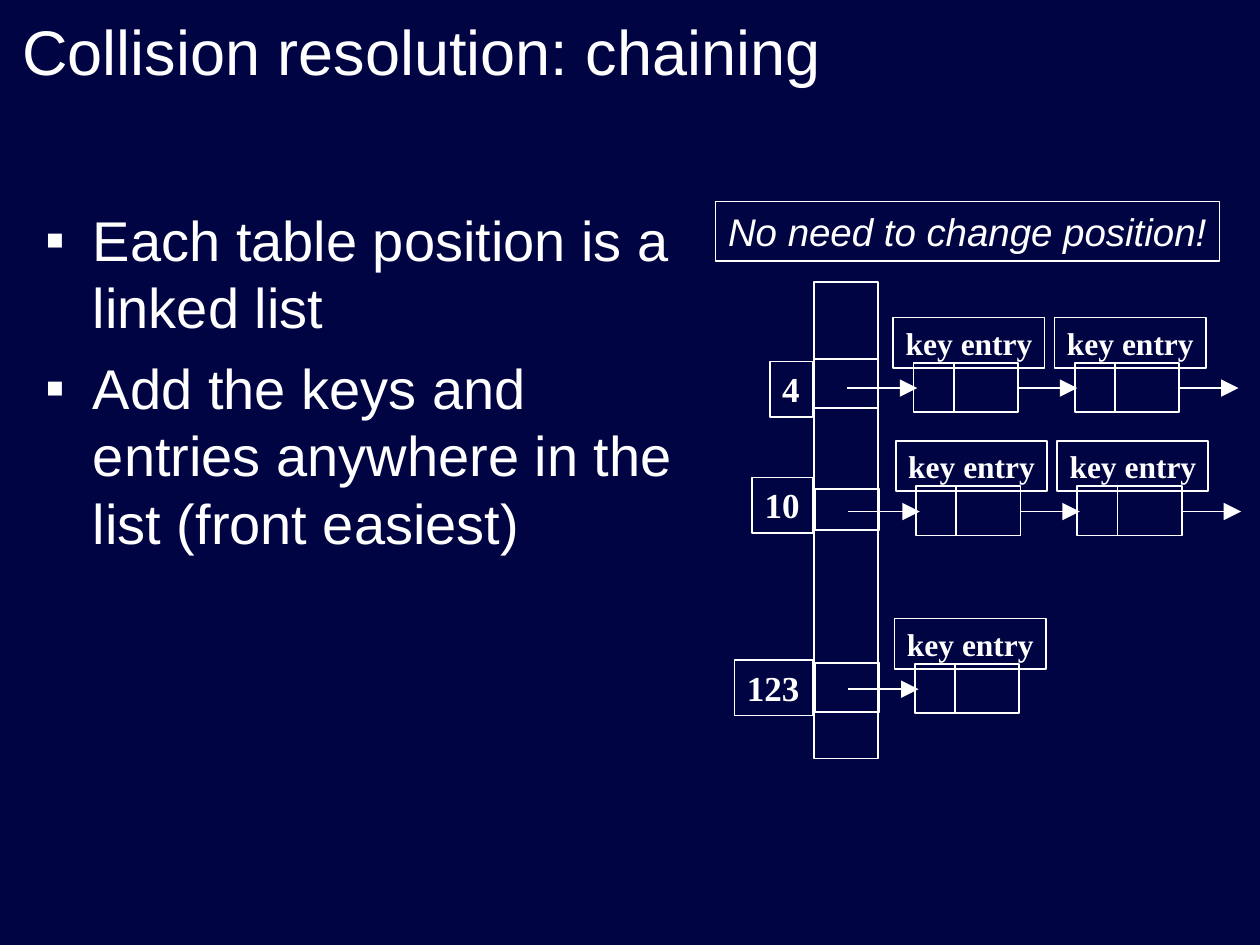
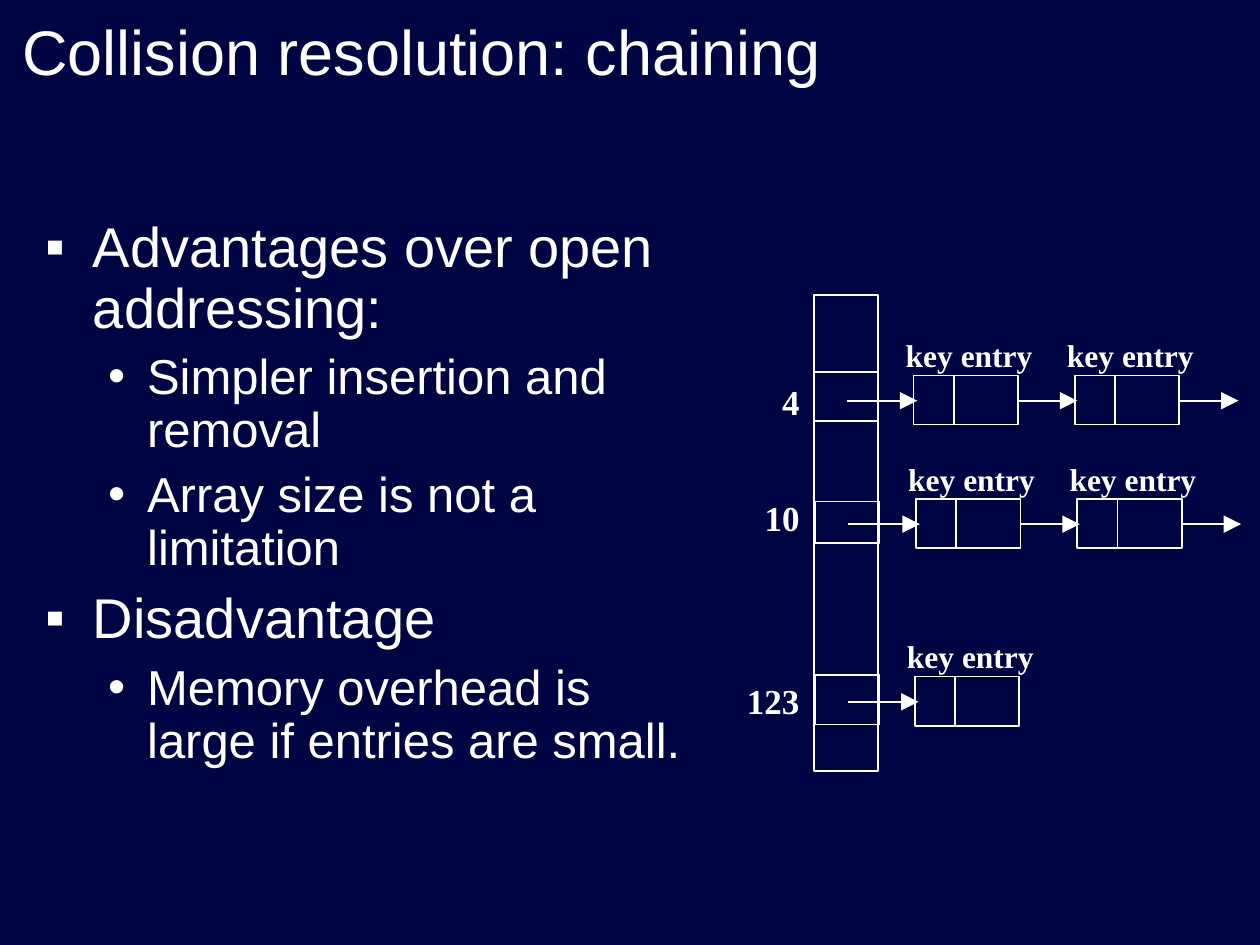
from lxml.etree import SubElement
from pptx import Presentation
from pptx.dml.color import RGBColor
from pptx.enum.shapes import MSO_CONNECTOR, MSO_SHAPE
from pptx.enum.text import MSO_ANCHOR, MSO_AUTO_SIZE
from pptx.oxml.ns import qn
from pptx.util import Inches, Pt

NAVY = RGBColor(0x01, 0x04, 0x42)
WHITE = RGBColor(0xFF, 0xFF, 0xFF)
SANS, SERIF = "Arial", "Times New Roman"
COLUMNS, ROWS = 10, 7.5

# Bullet levels: mark, text indent, hanging indent, space before, size
LEVELS = [("▪", 0.38, 0.38, 8, 32), ("•", 0.81, 0.31, 7, 28)]

# Hash table geometry, in grid columns and rows
TABLE_LEFT, TABLE_WIDTH, TABLE_HEIGHT = 6.46, 0.51, 3.78
NODE_WIDTH, NODE_HEIGHT, NODE_PITCH = 0.83, 0.39, 1.28
KEY_WIDTH = 0.32
LABEL_HEIGHT, LABEL_RIGHT = 0.44, 6.45
ENTRY_WIDTH, ENTRY_HEIGHT = 1.2, 0.4

# Chains: index, label width, label top, slot left, slot top, slot height,
# first node left, node top, node count (tops are measured from the table top)
CHAINS = [
    ("4", 0.34, 0.63, 6.46, 0.61, 0.39, 7.25, 0.64, 2),
    ("10", 0.48, 1.55, 6.47, 1.64, 0.33, 7.27, 1.62, 2),
    ("123", 0.62, 3.0, 6.47, 3.02, 0.39, 7.26, 3.03, 1),
]


def write(para, text, font=SANS, size=18, bold=False, italic=False):
    """Add one formatted span of text to a paragraph."""
    span = para.add_run()
    span.text = text
    span.font.name = font
    span.font.size = Pt(size)
    span.font.bold = bold
    span.font.italic = italic
    span.font.color.rgb = WHITE


class Slides:
    """Holds the deck, its style and the current page."""

    def __init__(self):
        self.deck = Presentation()
        self.deck.slide_width = Inches(COLUMNS)
        self.deck.slide_height = Inches(ROWS)
        background = self.deck.slide_master.background.fill
        background.solid()
        background.fore_color.rgb = NAVY
        self.page = None

    def place(self, *cells):
        """Turn grid distances into slide lengths."""
        cell = self.deck.slide_width / COLUMNS
        return [round(cell * distance) for distance in cells]

    def new_page(self, title):
        self.page = self.deck.slides.add_slide(self.deck.slide_layouts[6])
        frame = self.text_box(0.08, 0.08, 9.06, 0.67)
        frame.vertical_anchor = MSO_ANCHOR.BOTTOM
        write(frame.paragraphs[0], title, size=36)

    def text_box(self, *area):
        box = self.page.shapes.add_textbox(*self.place(*area))
        box.text_frame.word_wrap = True
        return box.text_frame

    def bullets(self, top, items, spacing=1.0):
        frame = self.text_box(0.26, top, 5.36, 4.56)
        for number, (level, text) in enumerate(items):
            para = frame.add_paragraph() if number else frame.paragraphs[0]
            mark, indent, hanging, before, size = LEVELS[level]
            para.level = level
            para.line_spacing = spacing
            para.space_before = Pt(before)
            write(para, text, size=size)
            settings = para._p.get_or_add_pPr()
            settings.set("marL", str(Inches(indent)))
            settings.set("indent", str(-Inches(hanging)))
            colour = SubElement(settings, qn("a:buClr"))
            SubElement(colour, qn("a:srgbClr"), val=str(WHITE))
            SubElement(settings, qn("a:buFont"), typeface=SANS)
            SubElement(settings, qn("a:buChar"), char=mark)

    def outline(self, *area):
        box = self.page.shapes.add_shape(MSO_SHAPE.RECTANGLE, *self.place(*area))
        box.shadow.inherit = False
        box.fill.background()
        box.line.color.rgb = WHITE
        box.line.width = Pt(1)

    def label(self, text, *area, framed=False, **style):
        """Add a one-line caption; the narrow right inset keeps it on its line."""
        box = self.page.shapes.add_textbox(*self.place(*area))
        if framed:
            box.line.color.rgb = WHITE
            box.line.width = Pt(1)
        frame = box.text_frame
        frame.word_wrap = False
        frame.auto_size = MSO_AUTO_SIZE.NONE
        frame.margin_right = Inches(0.02)
        write(frame.paragraphs[0], text, **style)

    def line(self, *ends, arrow=False):
        link = self.page.shapes.add_connector(MSO_CONNECTOR.STRAIGHT, *self.place(*ends))
        link.line.color.rgb = WHITE
        link.line.width = Pt(1)
        if arrow:
            SubElement(link.line._get_or_add_ln(), qn("a:tailEnd"),
                       type="triangle", w="lg", len="lg")
        SubElement(link._element.spPr, qn("a:effectLst"))

    def node(self, left, top, framed):
        """Draw a list node: a key cell, an entry cell and their caption."""
        self.outline(left, top, NODE_WIDTH, NODE_HEIGHT)
        self.label("key entry", left - 0.16, top - 0.36, ENTRY_WIDTH, ENTRY_HEIGHT,
                   framed=framed, font=SERIF, bold=True)
        self.line(left + KEY_WIDTH, top, left + KEY_WIDTH, top + NODE_HEIGHT)

    def hash_table(self, top, framed=False):
        self.outline(TABLE_LEFT, top, TABLE_WIDTH, TABLE_HEIGHT)
        for (index, width, label_top, slot_left, slot_top, slot_height,
             first, node_top, count) in CHAINS:
            # Table slot and its index
            self.outline(slot_left, top + slot_top, TABLE_WIDTH, slot_height)
            self.label(index, LABEL_RIGHT - width, top + label_top, width, LABEL_HEIGHT,
                       framed=framed, font=SERIF, size=20, bold=True)
            # Arrow from the slot to the first node
            middle = top + node_top + 0.2
            self.line(slot_left + 0.26, middle, first + 0.03, middle, arrow=True)
            # Linked nodes; a chain of one has no further link
            for position in range(count):
                left = first + position * NODE_PITCH
                self.node(left, top + node_top, framed)
                if count > 1:
                    right = left + NODE_WIDTH
                    self.line(right, middle, right + 0.47, middle, arrow=True)


def main():
    slides = Slides()
    title = "Collision resolution: chaining"

    # How chaining works
    slides.new_page(title)
    slides.bullets(1.58, [
        (0, "Each table position is a linked list"),
        (0, "Add the keys and entries anywhere in the list (front easiest)"),
    ])
    slides.hash_table(2.24, framed=True)
    slides.label("No need to change position!", 5.68, 1.6, 4, 0.47,
                 framed=True, size=22, italic=True)

    # Advantages and disadvantage
    slides.new_page(title)
    slides.bullets(1.69, [
        (0, "Advantages over open addressing:"),
        (1, "Simpler insertion and removal"),
        (1, "Array size is not a limitation"),
        (0, "Disadvantage"),
        (1, "Memory overhead is large if entries are small."),
    ], spacing=0.9)
    slides.hash_table(2.34)

    slides.deck.save("out.pptx")


if __name__ == "__main__":
    main()
